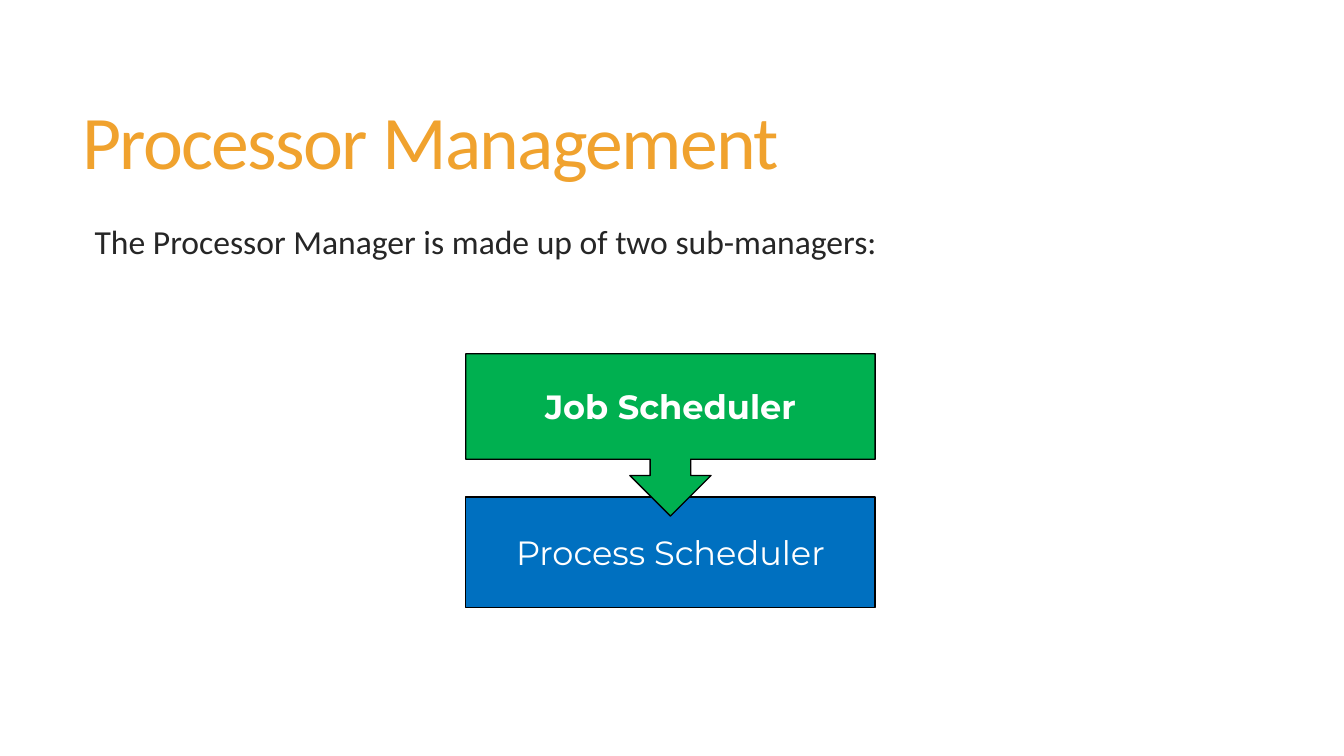
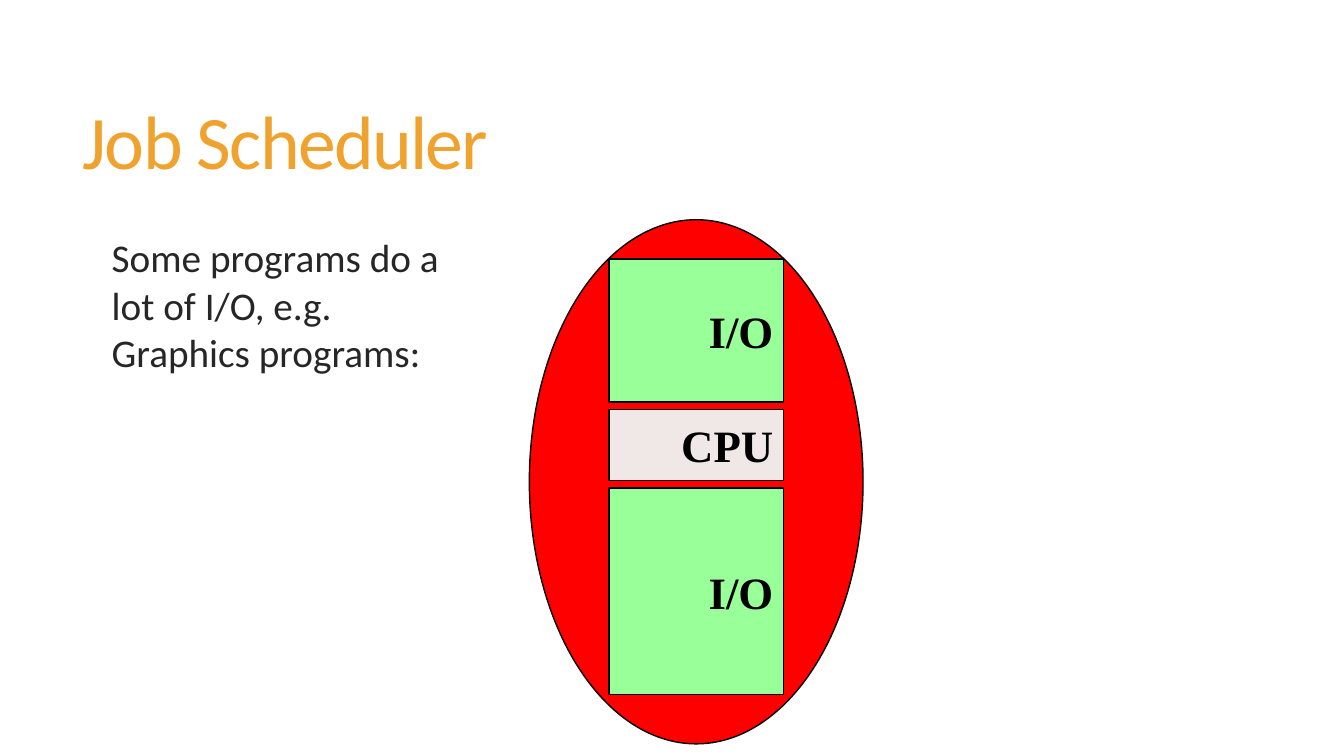
from pptx import Presentation
from pptx.dml.color import RGBColor
from pptx.enum.shapes import MSO_SHAPE
from pptx.enum.text import MSO_ANCHOR, PP_ALIGN
from pptx.util import Inches, Pt

ORANGE = RGBColor(0xF0, 0xA2, 0x2E)
DARK = RGBColor(0x26, 0x26, 0x26)
BLACK = RGBColor(0, 0, 0)
WHITE = RGBColor(0xFF, 0xFF, 0xFF)
GREEN = RGBColor(0x00, 0xB0, 0x50)
BLUE = RGBColor(0x00, 0x70, 0xC0)
RED = RGBColor(0xFF, 0, 0)
MINT = RGBColor(0x99, 0xFF, 0x99)
BLUSH = RGBColor(0xF0, 0xE8, 0xE6)

WIDTH, HEIGHT = 13.33, 7.5
TITLE_BOX = (0.72, 0.55, 11.78, 1.81)

# Text, shape, fill, bold, top, height
SCHEDULERS = [
    ("Process Scheduler", MSO_SHAPE.RECTANGLE, BLUE, False, 4.93, 1.1),
    ("Job Scheduler", MSO_SHAPE.DOWN_ARROW_CALLOUT, GREEN, True, 3.51, 1.61),
]
SCHEDULER_LEFT, SCHEDULER_WIDTH = 4.62, 4.06

# Text, fill, height, from top to bottom
BURSTS = [("I/O", MINT, 1.42), ("CPU", BLUSH, 0.71), ("I/O", MINT, 2.05)]
PROGRAM_OVAL = (5.25, 2.18, 3.31, 5.2)
BURST_TOP, BURST_WIDTH, BURST_GAP = 2.57, 1.73, 0.07


def write(s, text, font, size, color, bold=False, align=PP_ALIGN.LEFT,
          anchor=MSO_ANCHOR.MIDDLE):
    """Put one styled paragraph into a shape and return the paragraph."""
    tf = s.text_frame
    tf.word_wrap = True
    tf.vertical_anchor = anchor
    p = tf.paragraphs[0]
    p.text = text
    p.alignment = align
    f = p.runs[0].font
    f.name, f.size, f.bold = font, Pt(size), bold
    f.color.rgb = color
    return p


def add_text(slide, box, *args, **style):
    s = slide.shapes.add_textbox(*map(Inches, box))
    return write(s, *args, **style)


def add_box(slide, kind, box, fill):
    s = slide.shapes.add_shape(kind, *map(Inches, box))
    s.shadow.inherit = False
    s.fill.solid()
    s.fill.fore_color.rgb = fill
    s.line.color.rgb = BLACK
    s.line.width = Pt(1)
    return s


def add_slide(prs, title, body, body_box, body_size, body_spacing):
    slide = prs.slides.add_slide(prs.slide_layouts[6])
    p = add_text(slide, TITLE_BOX, title, "Calibri", 54, ORANGE)
    p.line_spacing = 0.85
    p.runs[0].font._element.set("spc", "-120")
    p = add_text(slide, body_box, body, "Calibri", body_size, DARK,
                 anchor=MSO_ANCHOR.TOP)
    p.line_spacing = body_spacing
    p.space_before = Pt(13)
    p._p.get_or_add_pPr().set("marL", str(Inches(0.1)))
    return slide


def add_schedulers(slide):
    for text, kind, fill, bold, top, height in SCHEDULERS:
        box = (SCHEDULER_LEFT, top, SCHEDULER_WIDTH, height)
        s = add_box(slide, kind, box, fill)
        write(s, text, "Montserrat", 24, WHITE, bold, PP_ALIGN.CENTER)


def add_program(slide):
    add_box(slide, MSO_SHAPE.OVAL, PROGRAM_OVAL, RED)
    left = PROGRAM_OVAL[0] + (PROGRAM_OVAL[2] - BURST_WIDTH) / 2
    top = BURST_TOP
    for text, fill, height in BURSTS:
        s = add_box(slide, MSO_SHAPE.RECTANGLE,
                    (left, top, BURST_WIDTH, height), fill)
        write(s, text, "Times New Roman", 32, BLACK, True, PP_ALIGN.RIGHT)
        top += height + BURST_GAP


def main():
    prs = Presentation()
    prs.slide_width, prs.slide_height = Inches(WIDTH), Inches(HEIGHT)
    add_schedulers(add_slide(
        prs, "Processor Management",
        "The Processor Manager is made up of two sub-managers:",
        (0.74, 2.2, 11.76, 4.12), 24, 0.85))
    add_program(add_slide(
        prs, "Job Scheduler",
        "Some programs do a lot of I/O, e.g. Graphics programs:",
        (0.91, 2.27, 3.91, 4.46), 28, 1.0))
    prs.save("out.pptx")


if __name__ == "__main__":
    main()
